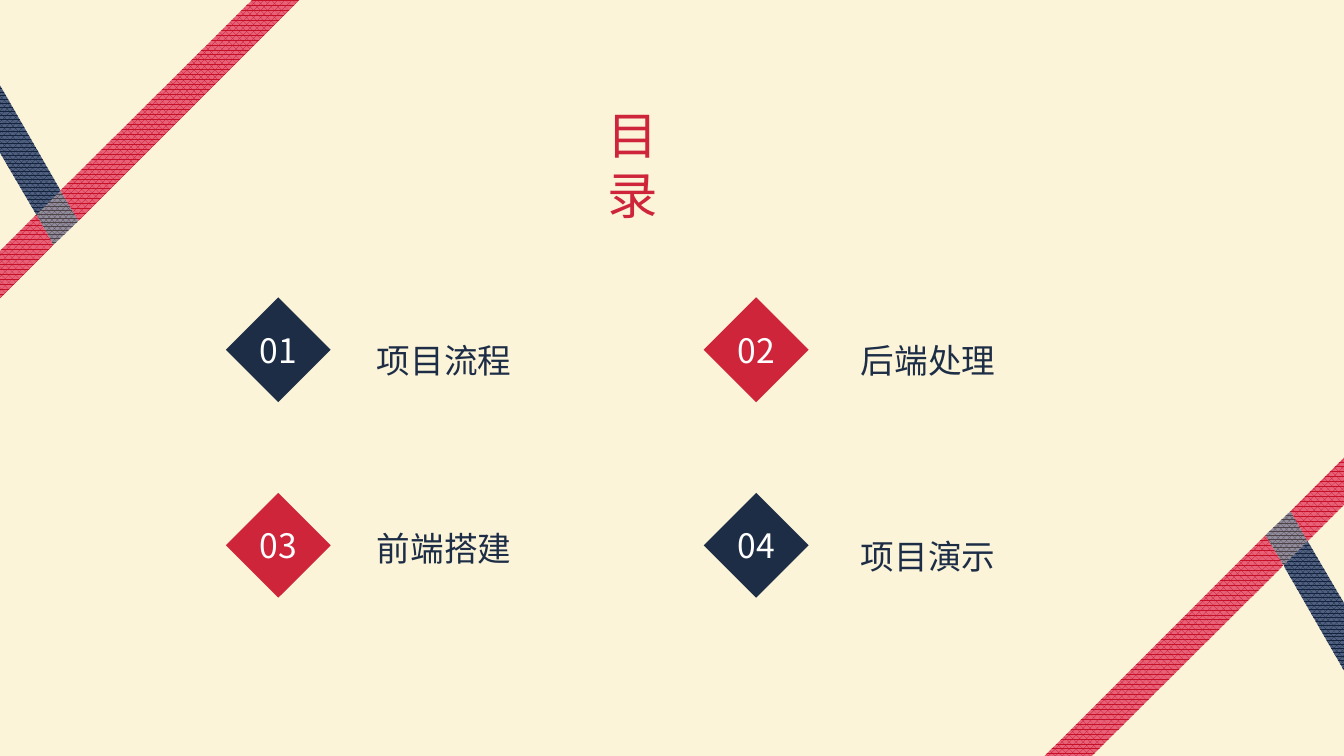
from pptx import Presentation
from pptx.dml.color import RGBColor
from pptx.enum.dml import MSO_PATTERN
from pptx.enum.shapes import MSO_SHAPE
from pptx.enum.text import MSO_ANCHOR, MSO_AUTO_SIZE, PP_ALIGN
from pptx.oxml.ns import qn
from pptx.util import Inches, Pt
from lxml.etree import SubElement

WIDTH, HEIGHT = 13.33, 7.5
FONT = "Noto Sans CJK SC"
COLORS = {
    "cream": "FBF4D9",
    "red": "CF253B",
    "navy": "1D2D46",
    "white": "FFFFFF",
    "red_dot": "C61027",
    "red_base": "E76278",
    "navy_dot": "13233B",
    "navy_base": "506081",
    "overlap_dot": "4F434A",
    "overlap_base": "918D9C",
}
DIAMOND_LEFT, DIAMOND_TOP, DIAMOND_SIZE = 2.24, 2.95, 1.04
COLUMN_STEP, ROW_STEP = 4.74, 1.94
LABEL_LEFT, LABEL_STEP = 3.64, 4.8
LABEL_WIDTH, LABEL_HEIGHT = 1.53, 0.71
CONTENTS = [
    ("项目流程", "navy", 3.12),
    ("后端处理", "red", 3.12),
    ("前端搭建", "red", 4.99),
    ("项目演示", "navy", 5.07),
]
RIBBONS = [
    ("overlap", MSO_PATTERN.PERCENT_75,
     [(0.6, 1.89), (0.36, 2.13), (0.53, 2.43), (0.78, 2.19)]),
    ("red", MSO_PATTERN.PERCENT_70,
     [(2.97, 0), (2.5, 0), (0.6, 1.89), (0.78, 2.19)]),
    ("navy", MSO_PATTERN.PERCENT_75,
     [(-0.01, 0.83), (-0.01, 1.5), (0.36, 2.13), (0.6, 1.89)]),
    ("red", MSO_PATTERN.PERCENT_70,
     [(0.36, 2.13), (-0.01, 2.5), (-0.01, 2.97), (0.53, 2.43)]),
]


def color(name):
    return RGBColor.from_string(COLORS[name])


def place(shape, left, top, width, height):
    shape.left, shape.top = Inches(left), Inches(top)
    shape.width, shape.height = Inches(width), Inches(height)


def write(shape, text, size, color_name, anchor, line_spacing=1.0):
    frame = shape.text_frame
    frame.word_wrap = False
    frame.vertical_anchor = anchor
    paragraph = frame.paragraphs[0]
    paragraph.alignment = PP_ALIGN.CENTER
    paragraph.line_spacing = line_spacing
    run = paragraph.add_run()
    run.text = text
    run.font.size = Pt(size)
    run.font.name = FONT
    run.font.color.rgb = color(color_name)
    SubElement(run.font._element, qn("a:ea"), typeface=FONT)
    return frame


def add_title(slide, text):
    title = slide.shapes.title
    place(title, 5.68, 0.98, 1.2, 0.71)
    frame = write(title, text, 36, "red", MSO_ANCHOR.TOP)
    frame.auto_size = MSO_AUTO_SIZE.SHAPE_TO_FIT_TEXT


def add_diamond(slide, number, column, row, color_name):
    diamond = slide.shapes.add_shape(
        MSO_SHAPE.DIAMOND,
        Inches(DIAMOND_LEFT + column * COLUMN_STEP),
        Inches(DIAMOND_TOP + row * ROW_STEP),
        Inches(DIAMOND_SIZE), Inches(DIAMOND_SIZE))
    diamond.shadow.inherit = False
    diamond.fill.solid()
    diamond.fill.fore_color.rgb = color(color_name)
    diamond.line.fill.background()
    frame = write(diamond, f"{number:02d}", 24, "white", MSO_ANCHOR.MIDDLE)
    frame.margin_left = frame.margin_right = 0
    frame.margin_top = frame.margin_bottom = 0


def add_label(slide, text, column, top):
    label = slide.shapes.add_textbox(
        Inches(LABEL_LEFT + column * LABEL_STEP), Inches(top),
        Inches(LABEL_WIDTH), Inches(LABEL_HEIGHT))
    frame = write(label, text, 24, "navy", MSO_ANCHOR.TOP, 1.5)
    frame.auto_size = MSO_AUTO_SIZE.SHAPE_TO_FIT_TEXT


def add_ribbon(slide, tone, pattern, points):
    corners = [(Inches(x), Inches(y)) for x, y in points]
    builder = slide.shapes.build_freeform(*corners[0])
    builder.add_line_segments(corners[1:], close=True)
    ribbon = builder.convert_to_shape()
    ribbon.shadow.inherit = False
    ribbon.fill.patterned()
    ribbon.fill.pattern = pattern
    ribbon.fill.fore_color.rgb = color(f"{tone}_dot")
    ribbon.fill.back_color.rgb = color(f"{tone}_base")
    ribbon.line.fill.background()


def opposite_corner(points):
    return [(WIDTH - x, HEIGHT - y) for x, y in points]


def main():
    presentation = Presentation()
    presentation.slide_width = Inches(WIDTH)
    presentation.slide_height = Inches(HEIGHT)
    slide = presentation.slides.add_slide(presentation.slide_layouts[5])
    slide.background.fill.solid()
    slide.background.fill.fore_color.rgb = color("cream")

    add_title(slide, "目录")
    for index, (text, color_name, label_top) in enumerate(CONTENTS):
        row, column = divmod(index, 2)
        add_diamond(slide, index + 1, column, row, color_name)
        add_label(slide, text, column, label_top)
    for tone, pattern, points in RIBBONS:
        add_ribbon(slide, tone, pattern, points)
        add_ribbon(slide, tone, pattern, opposite_corner(points))

    presentation.save("out.pptx")


if __name__ == "__main__":
    main()
